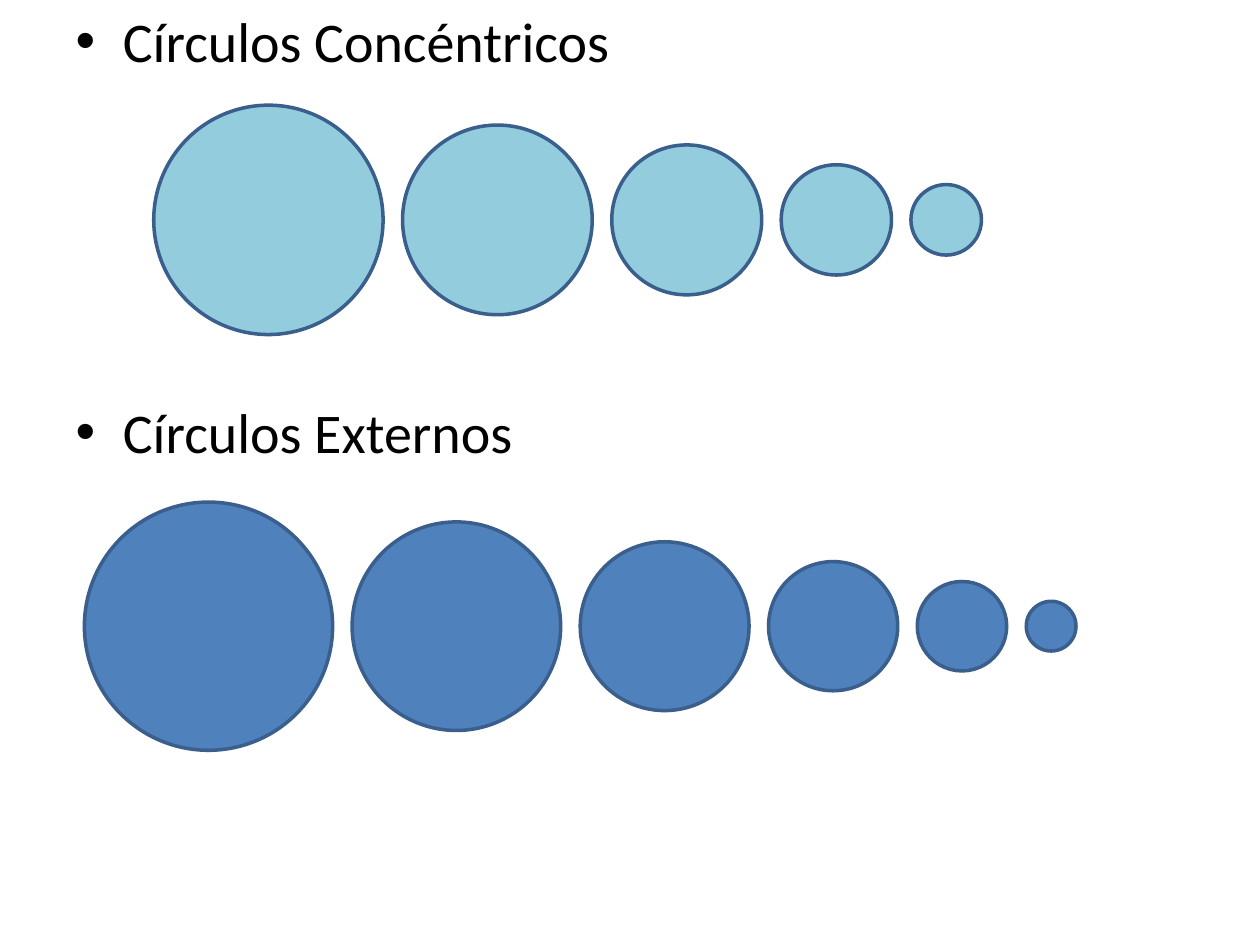
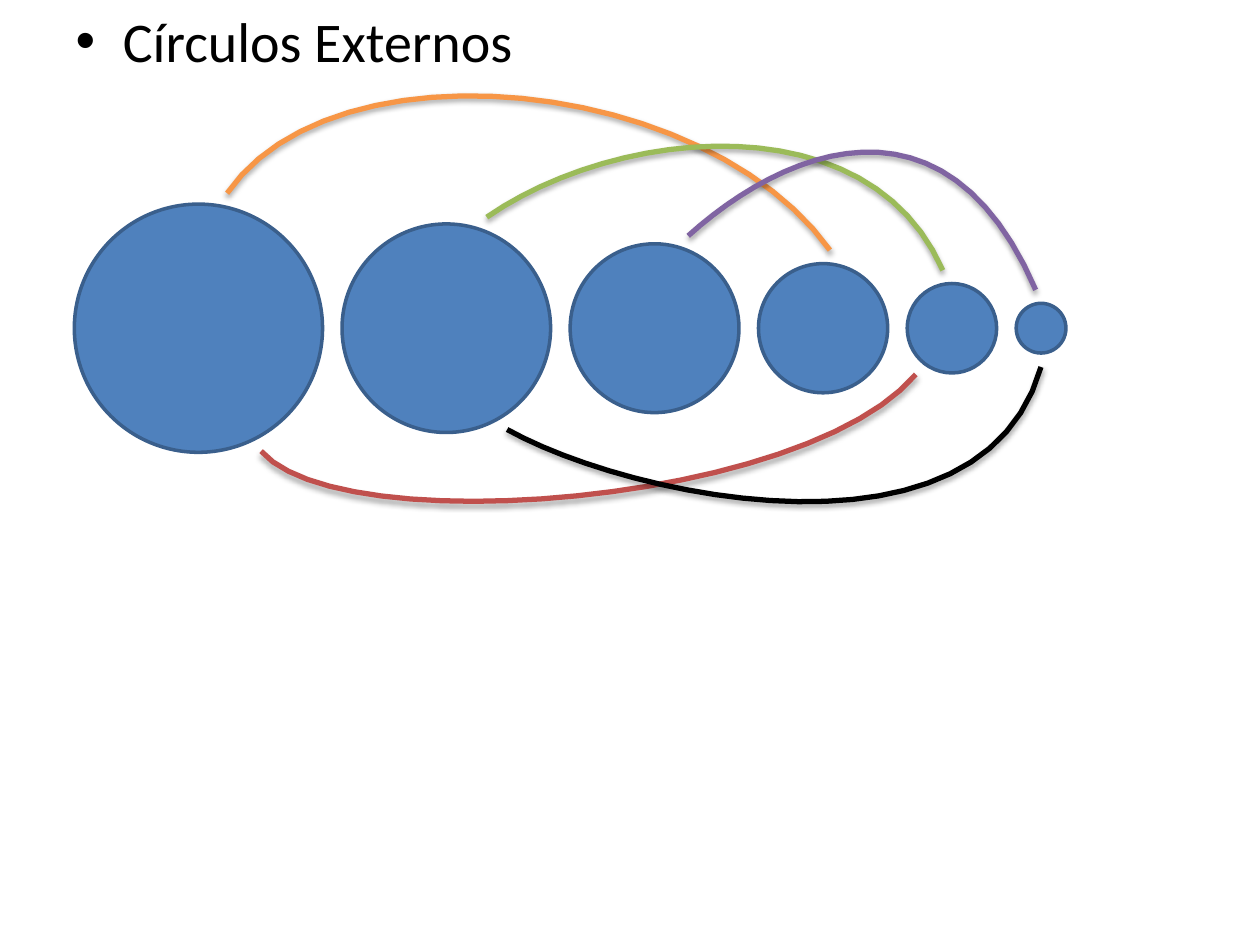
from dataclasses import dataclass
from math import cos, radians, sin

from pptx import Presentation
from pptx.dml.color import RGBColor
from pptx.enum.shapes import MSO_SHAPE
from pptx.oxml import parse_xml
from pptx.oxml.ns import nsdecls, qn
from pptx.util import Inches, Pt

OVAL = MSO_SHAPE.OVAL
WIDTH, HEIGHT = Inches(10), Inches(7.5)
UNIT = WIDTH // 1000
BLUE, AQUA, EDGE, BLACK = "4F81BD", "93CDDD", "3A5F8C", "000000"
ORANGE, GREEN, PURPLE, RED = "F79646", "9BBB59", "8064A2", "C0504D"
FONT = {"name": "Calibri", "size": Pt(32)}
SHRINK, GAP, REACH, PIECES = 31.5, 15.5, 11, 24
SHADOW = (
    f'<a:outerShdw {nsdecls("a")} blurRad="40000" dist="23000" dir="5400000" '
    'rotWithShape="0"><a:srgbClr val="000000"><a:alpha val="35000"/>'
    '</a:srgbClr></a:outerShdw>'
)


@dataclass
class Circle:
    """A circle in grid units: its centre and radius."""

    x: float
    y: float
    radius: float

    def port(self, angle):
        """Return the point just outside the rim, clockwise from the top."""
        reach, turn = self.radius + REACH, radians(angle)
        return self.x + reach * sin(turn), self.y - reach * cos(turn)


@dataclass
class Link:
    """A curve between two circles, with its pulls relative to the row."""

    code: str
    first: int
    leave: float
    last: int
    enter: float
    pulls: tuple


LINKS = [
    Link(ORANGE, 0, 12, 3, 5, ((206, -230), (501, -200))),
    Link(GREEN, 1, 20, 4, -9, ((431, -160), (631, -180))),
    Link(PURPLE, 2, 20, 5, -8, ((561, -140), (691, -198))),
    Link(RED, 0, 153, 4, 218, ((211, 170), (581, 140))),
    Link(BLACK, 1, 149, 5, 180, ((441, 135), (721, 195))),
]


def rgb(code):
    """Turn a hex string into a colour."""
    return RGBColor.from_string(code)


def assign(item, values):
    """Set each attribute named in a dict."""
    for name, value in values.items():
        setattr(item, name, value)


def stroke(shape, code, width):
    """Give a shape a plain outline and no shadow."""
    shape.shadow.inherit = False
    shape.line.color.rgb = rgb(code)
    shape.line.width = Pt(width)


def heads(slide, box, lines, space=0):
    """Place bullet lines in the body, a set space of points apart."""
    title, body = slide.placeholders
    title.element.getparent().remove(title.element)
    left, top, width, height = box
    assign(body, {"left": left, "top": top, "width": width, "height": height})
    body.text_frame.text = "\n".join(lines)
    for index, para in enumerate(body.text_frame.paragraphs):
        para.space_before = Pt(space if index else 0)
        assign(para.font, FONT)
        para.font.color.rgb = rgb(BLACK)


def circles(slide, start, size, count, code):
    """Draw a row of shrinking circles from its left middle; return them."""
    left, middle = start
    row = []
    for _ in range(count):
        side = int(size * UNIT)
        oval = slide.shapes.add_shape(
            OVAL, int(left * UNIT), int((middle - size / 2) * UNIT), side, side)
        oval.fill.solid()
        oval.fill.fore_color.rgb = rgb(code)
        stroke(oval, EDGE, 2)
        row.append(Circle(left + size / 2, middle, size / 2))
        left += size + GAP
        size -= SHRINK
    return row


def bezier(nodes, t):
    """Return the point at share t of a curve by repeated halfway steps."""
    while len(nodes) > 1:
        nodes = [(a + (c - a) * t, b + (d - b) * t)
                 for (a, b), (c, d) in zip(nodes, nodes[1:])]
    return nodes[0]


def connect(slide, start, row, link):
    """Draw one open curve with a soft shadow between two circles of a row."""
    left, middle = start
    pulls = [(left + x, middle + y) for x, y in link.pulls]
    nodes = [row[link.first].port(link.leave), *pulls,
             row[link.last].port(link.enter)]
    points = [tuple(int(value * UNIT) for value in bezier(nodes, i / PIECES))
              for i in range(PIECES + 1)]
    pen = slide.shapes.build_freeform(*points[0])
    pen.add_line_segments(points[1:], close=False)
    curve = pen.convert_to_shape()
    curve.fill.background()
    stroke(curve, link.code, 3)
    curve.element.spPr.find(qn("a:effectLst")).append(parse_xml(SHADOW))


def kinds(slide, box):
    """Show both kinds of circles, each row under its heading."""
    heads(slide, box, ["Círculos Concéntricos", "Círculos Externos"], 185)
    circles(slide, (122, 174.5), 182, 5, AQUA)
    circles(slide, (67, 497), 197, 6, BLUE)


def pairs(slide, box):
    """Show the outer circles and the curves that pair them."""
    heads(slide, box, ["Círculos Externos"])
    start = (59, 260.5)
    row = circles(slide, start, 197, 6, BLUE)
    for link in LINKS:
        connect(slide, start, row, link)


def main():
    """Build both slides and save them."""
    deck = Presentation()
    assign(deck, {"slide_width": WIDTH, "slide_height": HEIGHT})
    box = (WIDTH // 20, 0, WIDTH * 9 // 10, HEIGHT)
    for build in (kinds, pairs):
        build(deck.slides.add_slide(deck.slide_layouts[1]), box)
    deck.save("out.pptx")


if __name__ == "__main__":
    main()
